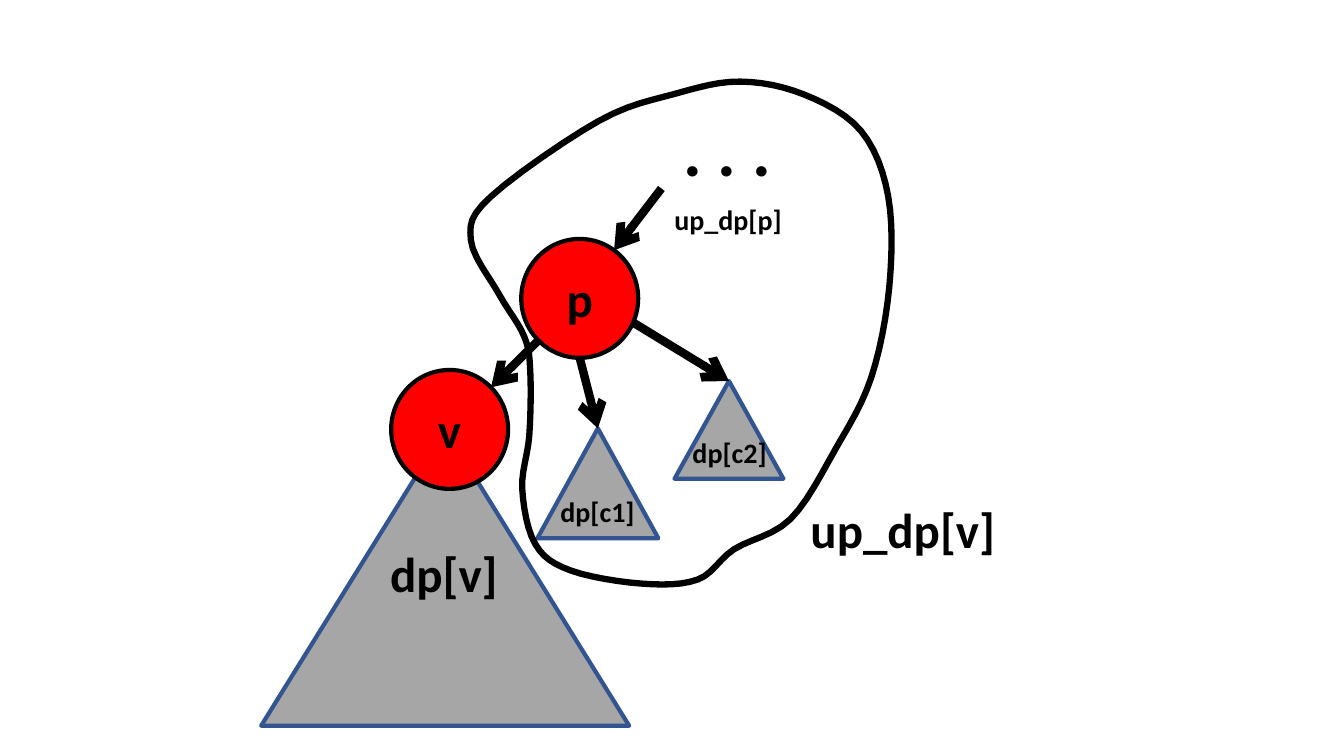
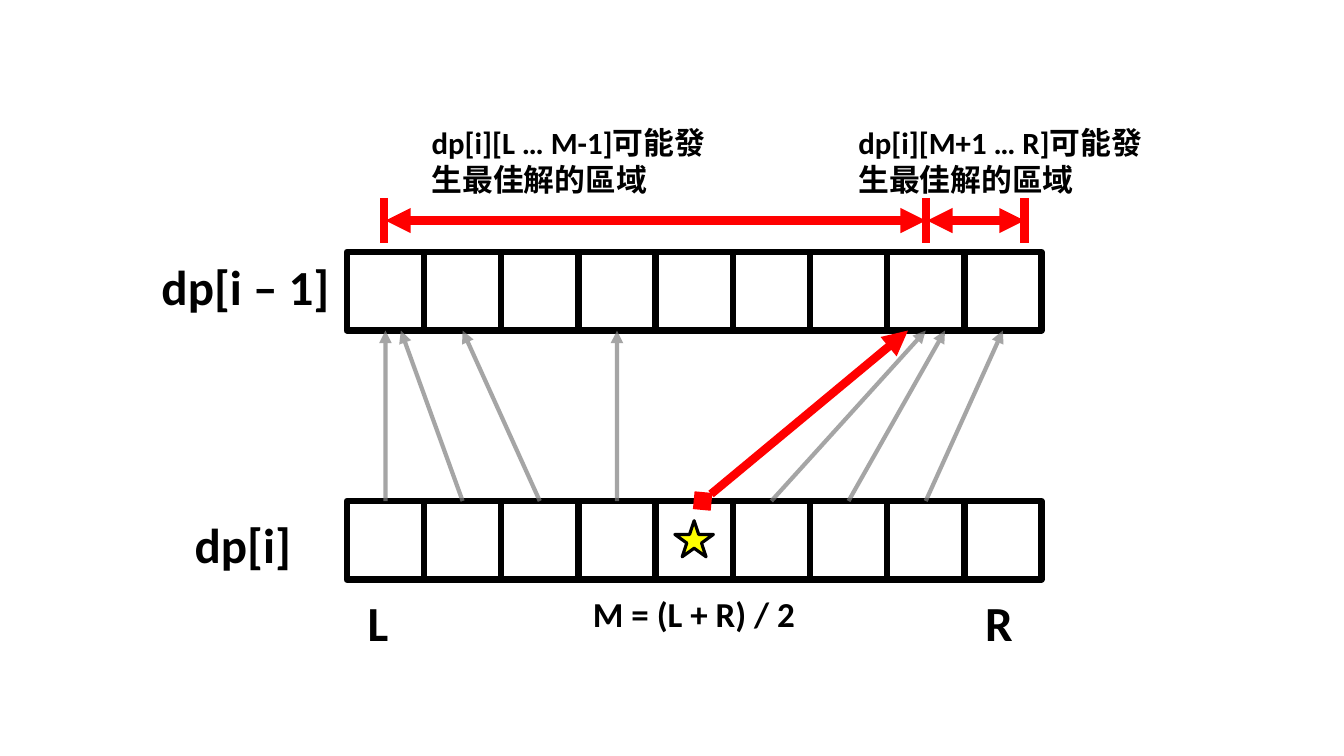
import dataclasses
import itertools
import math
import lxml.etree
import pptx
import pptx.dml.color
import pptx.enum.shapes
import pptx.enum.text
import pptx.oxml.ns
import pptx.util

SHAPES = pptx.enum.shapes.MSO_SHAPE


@dataclasses.dataclass(frozen=True)
class Theme:
    font: str = "Calibri"
    black: str = "000000"
    red: str = "FF0000"
    subtree: str = "A6A6A6"
    subtree_edge: str = "325491"
    pale_arrow: str = "7F7F7F"
    star: str = "FFFF00"
    dots_size: int = 50
    large_size: int = 35
    formula_size: int = 25
    caption_size: int = 22
    small_size: int = 20
    thick: float = 6
    frame: float = 4.5
    medium: float = 3
    thin: float = 2.25


@dataclasses.dataclass(frozen=True)
class Grid:
    left: float
    top: float
    width: float
    height: float
    columns: float
    rows: float

    def point(self, column, row):
        return (pptx.util.Inches(self.left + column * self.width / self.columns),
                pptx.util.Inches(self.top + row * self.height / self.rows))

    def place(self, cell):
        left, top = self.point(cell.column, cell.row)
        right, bottom = self.point(cell.column + cell.columns, cell.row + cell.rows)
        return left, top, right - left, bottom - top


@dataclasses.dataclass(frozen=True)
class Cell:
    column: float
    row: float
    columns: float
    rows: float

    def apex(self):
        return self.column + self.columns / 2, self.row

    def rim(self, degrees):
        angle = math.radians(degrees)
        return (self.column + self.columns / 2 * (1 + math.cos(angle)),
                self.row + self.rows / 2 * (1 + math.sin(angle)))


THEME = Theme()
SLIDE = Grid(0, 0, 13.33, 7.5, 13.33, 7.5)
ARRAYS = Grid(3.44, 2.5, 6.89, 3.25, 9, 4.17)


def color(value):
    return pptx.dml.color.RGBColor.from_string(value)


def add_xml(parent, tag, **attributes):
    element = lxml.etree.SubElement(parent, pptx.oxml.ns.qn(tag))
    for name, value in attributes.items():
        element.set(name, value)
    return element


def paint(shape, fill, line, width):
    shape.shadow.inherit = False
    if fill:
        shape.fill.solid()
        shape.fill.fore_color.rgb = color(fill)
    else:
        shape.fill.background()
    shape.line.color.rgb = color(line)
    shape.line.width = pptx.util.Pt(width)


def write(text_frame, text, size, alignment=None):
    text_frame.text = text
    for paragraph in text_frame.paragraphs:
        paragraph.alignment = alignment
        for run in paragraph.runs:
            run.font.name = THEME.font
            run.font.size = pptx.util.Pt(size)
            run.font.bold = True
            run.font.color.rgb = color(THEME.black)


def add_figure(slide, grid, kind, cell, fill, line, width):
    shape = slide.shapes.add_shape(kind, *grid.place(cell))
    paint(shape, fill, line, width)
    return shape


def add_label(slide, grid, cell, text, size, wrap=True):
    text_frame = slide.shapes.add_textbox(*grid.place(cell)).text_frame
    text_frame.word_wrap = wrap
    text_frame.auto_size = pptx.enum.text.MSO_AUTO_SIZE.SHAPE_TO_FIT_TEXT
    write(text_frame, text, size)


def add_line(slide, grid, start, end, line, width, head=None, tail=None, opacity=None):
    connector = slide.shapes.add_connector(
        pptx.enum.shapes.MSO_CONNECTOR.STRAIGHT, *grid.point(*start), *grid.point(*end))
    connector.line.color.rgb = color(line)
    connector.line.width = pptx.util.Pt(width)
    properties = connector.line._get_or_add_ln()
    if opacity:
        add_xml(properties[0][0], "a:alpha", val=str(opacity * 1000))
    for tag, kind in (("a:headEnd", head), ("a:tailEnd", tail)):
        if kind:
            add_xml(properties, tag, type=kind)
    add_xml(connector._element.spPr, "a:effectLst")


def curve_between(before, start, end, after, share):
    def blend(a, b, c, d):
        return b + share / 2 * (c - a + share * (2 * a - 5 * b + 4 * c - d
                                                 + share * (3 * (b - c) + d - a)))
    return tuple(map(blend, before, start, end, after))


def smooth_loop(knots, steps=6):
    count = len(knots)
    return [curve_between(*(knots[(index + offset) % count] for offset in (-1, 0, 1, 2)),
                          step / steps)
            for index, step in itertools.product(range(count), range(steps))]


def draw_enclosure(slide, grid):
    left_side = [(4.67, 2.38), (4.95, 2.92), (5.2, 3.34), (5.26, 3.7), (5.25, 4.32), (5.18, 4.85)]
    bottom = [(5.31, 5.4), (5.66, 5.66), (6.36, 5.79), (6.92, 5.75), (7.28, 5.45), (7.84, 5.15)]
    right_side = [(8.29, 4.45), (8.64, 3.75), (8.82, 2.85), (8.81, 1.95), (8.54, 1.3)]
    top = [(7.98, 0.94), (7.34, 0.81), (6.7, 0.93), (5.94, 1.2), (4.87, 1.95)]
    points = [grid.point(*point) for point in smooth_loop(left_side + bottom + right_side + top)]
    builder = slide.shapes.build_freeform(*points[0])
    builder.add_line_segments(points[1:], close=True)
    paint(builder.convert_to_shape(), None, THEME.black, THEME.frame)


def draw_node(slide, grid, cell, name):
    node = add_figure(slide, grid, SHAPES.OVAL, cell, THEME.red, THEME.black, THEME.medium)
    node.text_frame.vertical_anchor = pptx.enum.text.MSO_ANCHOR.MIDDLE
    write(node.text_frame, name, THEME.large_size, pptx.enum.text.PP_ALIGN.CENTER)


def draw_tree_labels(slide, grid):
    for column, row, width, height, text, size in (
            (3.77, 5.34, 1.28, 0.69, "dp[v]", THEME.large_size),
            (6.68, 1.01, 1.08, 0.94, ". . .", THEME.dots_size),
            (7.94, 4.91, 2.05, 0.69, "up_dp[v]", THEME.large_size),
            (5.46, 4.86, 1.04, 0.44, "dp[c1]", THEME.small_size),
            (6.77, 4.27, 1.04, 0.44, "dp[c2]", THEME.small_size),
            (6.59, 1.96, 1.28, 0.44, "up_dp[p]", THEME.small_size)):
        add_label(slide, grid, Cell(column, row, width, height), text, size,
                  wrap=size == THEME.small_size)


def draw_tree(slide, grid):
    node_v, node_p = Cell(3.88, 3.67, 1.16, 1.18), Cell(5.17, 2.37, 1.16, 1.18)
    subtree_v = Cell(2.59, 4.26, 3.65, 2.94)
    subtree_c1, subtree_c2 = Cell(5.33, 4.25, 1.2, 1.09), Cell(6.69, 3.78, 1.08, 0.97)
    ancestor = (6.56, 1.87)
    for subtree in (subtree_v, subtree_c1, subtree_c2):
        add_figure(slide, grid, SHAPES.ISOSCELES_TRIANGLE, subtree,
                   THEME.subtree, THEME.subtree_edge, THEME.medium)
    for node, name in ((node_v, "v"), (node_p, "p")):
        draw_node(slide, grid, node, name)
    for parent, child in ((ancestor, node_p.rim(-54)),
                          (node_p.rim(135), node_v.rim(-45)),
                          (node_p.rim(90), subtree_c1.apex()),
                          (node_p.rim(24), subtree_c2.apex())):
        add_line(slide, grid, parent, child, THEME.black, THEME.thick, tail="arrow")
    draw_tree_labels(slide, grid)
    draw_enclosure(slide, grid)


def draw_cells(slide, grid, row):
    for column in range(grid.columns):
        add_figure(slide, grid, SHAPES.RECTANGLE, Cell(column, row, 1, 1),
                   None, THEME.black, THEME.frame)


def draw_transitions(slide, grid, source_row, target_row):
    best_targets = {0: 0.5, 1: 0.7, 2: 1.5, 3: 3.5, 5: 7.5, 6: 7.75, 7: 8.5}
    middle_source, middle_target = 4.61, 7.27
    for column, target in best_targets.items():
        add_line(slide, grid, (column + 0.5, source_row), (target, target_row),
                 THEME.pale_arrow, THEME.medium, tail="triangle", opacity=70)
    add_line(slide, grid, (middle_source, source_row), (middle_target, target_row),
             THEME.red, THEME.thick, head="diamond", tail="triangle")


def draw_ranges(slide, grid):
    row, half_bar = -0.4, 0.29
    first, split, last = 0.48, 7.5, 8.78
    for start, end in itertools.pairwise((first, split, last)):
        add_line(slide, grid, (start + 0.02, row), (end, row), THEME.red, THEME.thick,
                 head="triangle", tail="triangle")
    for bar in (first, split, last):
        add_line(slide, grid, (bar, row - half_bar), (bar, row + half_bar),
                 THEME.red, THEME.thick)


def draw_array_labels(slide, grid, upper, lower):
    above, below = upper - 1.69, lower + 1.1
    for column, row, width, text, size in (
            (-2.53, upper, 3.34, "dp[i – 1]", THEME.large_size),
            (-2.1, lower + 0.11, 3.34, "dp[i]", THEME.large_size),
            (0.14, below, 1.87, "L", THEME.large_size),
            (3.06, below, 4.02, "M = (L + R) / 2", THEME.formula_size),
            (8.14, below, 1.87, "R", THEME.large_size),
            (0.97, above, 4.36, "dp[i][L … M-1]可能發\n生最佳解的區域", THEME.caption_size),
            (6.5, above, 4.18, "dp[i][M+1 … R]可能發\n生最佳解的區域", THEME.caption_size)):
        line_count = text.count("\n") + 1
        height = 0.13 + line_count * size * 0.0217
        add_label(slide, grid, Cell(column, row, width, height), text, size)


def draw_arrays(slide, grid):
    upper, lower = 0, grid.rows - 1
    for row in (upper, lower):
        draw_cells(slide, grid, row)
    draw_transitions(slide, grid, lower, upper + 1)
    add_figure(slide, grid, SHAPES.STAR_5_POINT, Cell(4.25, lower + 0.25, 0.5, 0.46),
               THEME.star, THEME.black, THEME.thin)
    draw_ranges(slide, grid)
    draw_array_labels(slide, grid, upper, lower)


presentation = pptx.Presentation()
presentation.slide_width = pptx.util.Inches(SLIDE.width)
presentation.slide_height = pptx.util.Inches(SLIDE.height)
blank_layout = presentation.slide_layouts[6]
for draw, region in ((draw_tree, SLIDE), (draw_arrays, ARRAYS)):
    draw(presentation.slides.add_slide(blank_layout), region)
presentation.save("out.pptx")
